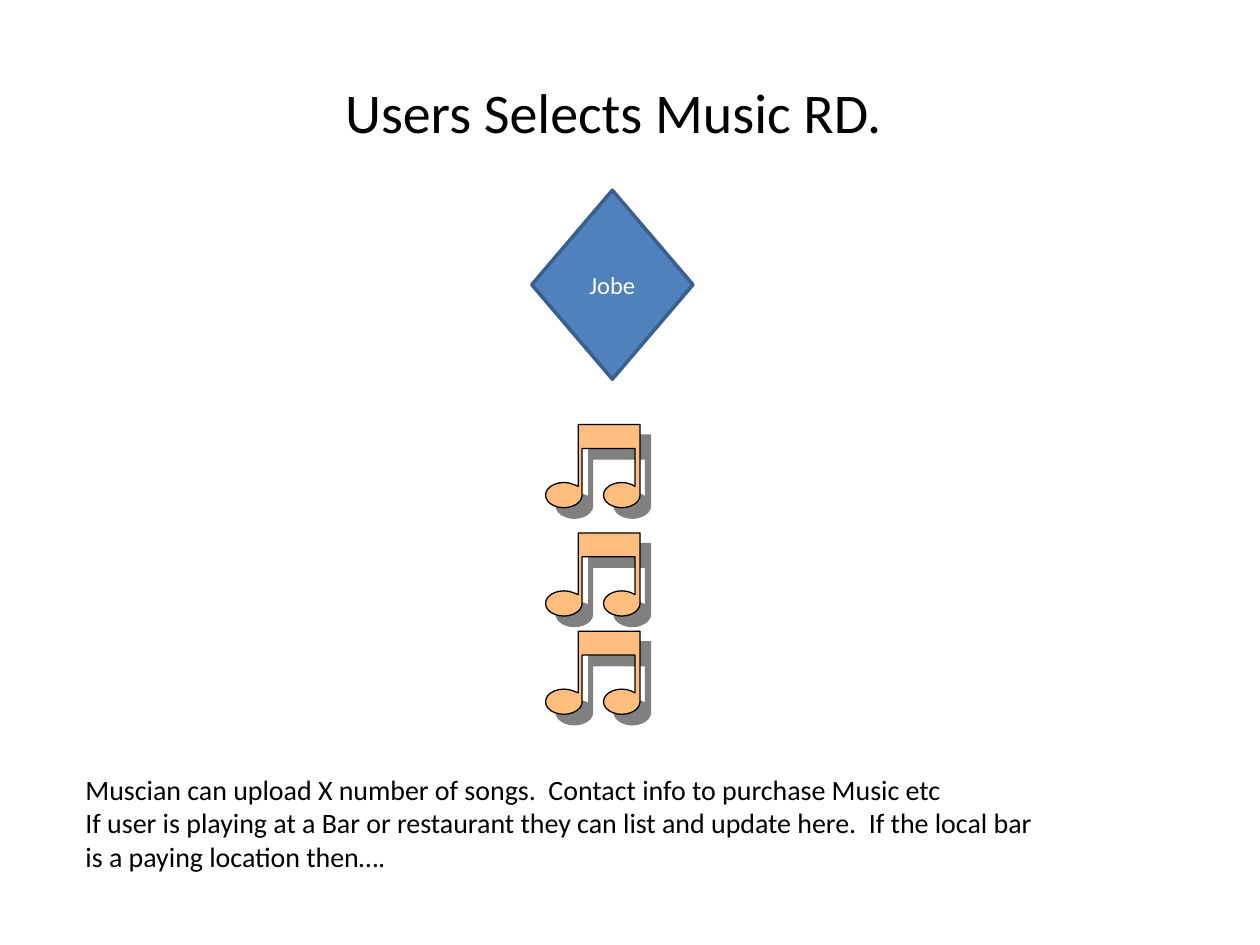
import math
from typing import NamedTuple

import pptx
import pptx.dml.color
import pptx.enum.shapes
import pptx.enum.text
import pptx.oxml
import pptx.oxml.ns
import pptx.util

Inches, Pt = pptx.util.Inches, pptx.util.Pt
ALIGN = pptx.enum.text.PP_ALIGN
ANCHOR = pptx.enum.text.MSO_ANCHOR


class Box(NamedTuple):
    left: float
    top: float
    width: float
    height: float

    def emu(self) -> list:
        return [Inches(v) for v in self]


class Note(NamedTuple):
    left: float
    top: float


NOTES = [Note(4.33, top) for top in (5.01, 4.23, 3.37)]
SHADOW = (
    '<a:outerShdw %s dist="107950" dir="2700000" algn="ctr" rotWithShape="0">'
    '<a:srgbClr val="808080"/></a:outerShdw>' % pptx.oxml.ns.nsdecls("a")
)


def rgb(color: str) -> pptx.dml.color.RGBColor:
    return pptx.dml.color.RGBColor.from_string(color)


def paint(sp, fill: str, line: str, width: float) -> None:
    sp.shadow.inherit = False
    sp.fill.solid()
    sp.fill.fore_color.rgb = rgb(fill)
    sp.line.color.rgb = rgb(line)
    sp.line.width = Pt(width)


def write(sp, lines: list, size: float, color: str, align, anchor) -> None:
    tf = sp.text_frame
    tf.word_wrap = True
    tf.vertical_anchor = anchor
    for i, text in enumerate(lines):
        p = tf.paragraphs[0] if i == 0 else tf.add_paragraph()
        p.alignment = align
        r = p.add_run()
        r.text = text
        r.font.name = "Calibri"
        r.font.size = Pt(size)
        r.font.color.rgb = rgb(color)


def head(right: float) -> list:
    """Round note head, from the inner side of its stem back to the outer side."""
    rx, ry, cy = 0.145, 0.1, 0.56
    angles = [math.radians(a) for a in range(60, 361, 15)]
    arc = [(right - rx + rx * math.cos(a), cy - ry * math.sin(a)) for a in angles]
    return arc


def draw_note(s, note: Note) -> None:
    outline = [(0.26, 0), (0.26, 0.49), *head(0.29), (0.29, 0.19),
               (0.71, 0.19), (0.71, 0.49), *head(0.75), (0.75, 0)]
    points = [(Inches(note.left + x), Inches(note.top + y)) for x, y in outline]
    builder = s.shapes.build_freeform(*points[0])
    builder.add_line_segments(points[1:], close=True)
    sp = builder.convert_to_shape()
    paint(sp, "FFBE7D", "000000", 0.75)
    effects = sp._element.spPr.find(pptx.oxml.ns.qn("a:effectLst"))
    effects.append(pptx.oxml.parse_xml(SHADOW))


def main() -> None:
    prs = pptx.Presentation()
    prs.slide_width, prs.slide_height = Inches(10), Inches(7.5)
    s = prs.slides.add_slide(prs.slide_layouts[6])

    # Title
    title = s.shapes.add_textbox(*Box(0.42, 0.26, 9, 1.25).emu())
    write(title, ["Users Selects Music RD. "], 32, "000000", ALIGN.CENTER, ANCHOR.MIDDLE)

    # Musician
    diamond = s.shapes.add_shape(
        pptx.enum.shapes.MSO_SHAPE.DIAMOND, *Box(4.22, 1.51, 1.28, 1.5).emu())
    paint(diamond, "4F81BD", "3A5F8C", 2)
    write(diamond, ["Jobe"], 14, "FFFFFF", ALIGN.CENTER, ANCHOR.MIDDLE)

    # Songs
    for note in NOTES:
        draw_note(s, note)

    # Explanation
    body = s.shapes.add_textbox(*Box(0.58, 6.08, 7.83, 0.91).emu())
    write(body, [
        "Muscian can upload X number of songs.  Contact info to purchase Music etc",
        "If user is playing at a Bar or restaurant they can list and update here.  "
        "If the local bar is a paying location then….",
    ], 16, "000000", ALIGN.LEFT, ANCHOR.TOP)
    body.text_frame.auto_size = pptx.enum.text.MSO_AUTO_SIZE.SHAPE_TO_FIT_TEXT

    prs.save("out.pptx")


if __name__ == "__main__":
    main()
